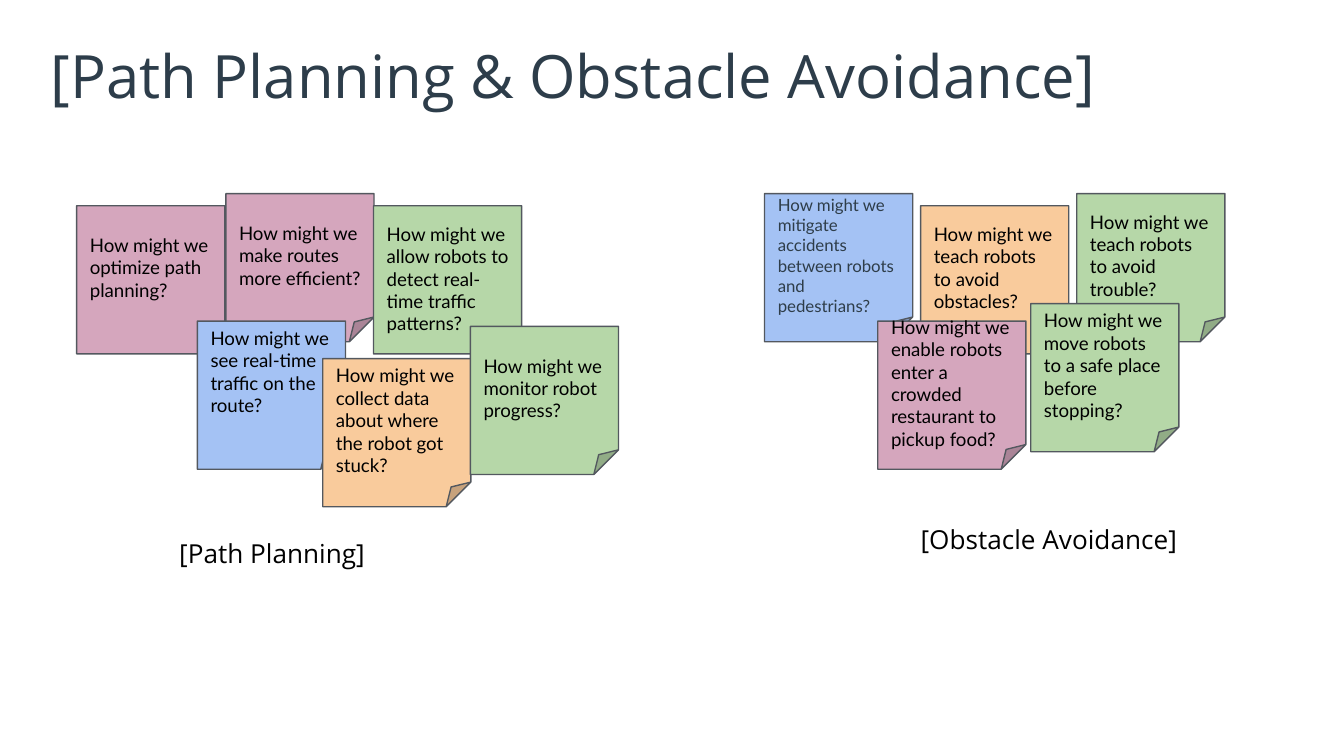
import pptx
import pptx.util
import pptx.dml.color
import pptx.enum.shapes
import pptx.enum.text

Cm, Pt = pptx.util.Cm, pptx.util.Pt
RGB = pptx.dml.color.RGBColor.from_string
ALIGN = pptx.enum.text.PP_ALIGN
ANCHOR = pptx.enum.text.MSO_ANCHOR

COLORS = {
    "title": "2D3D4A", "text": "000000", "slate": "2E3D49", "line": "53585F",
    "pink": "D5A6BD", "green": "B6D7A8", "orange": "F9CB9C", "blue": "A4C2F4",
}
NOTE_SIZE = 2.8
LINE_HEIGHT = 0.42

prs = pptx.Presentation()
prs.slide_width, prs.slide_height = Cm(25.4), Cm(14.29)
s = prs.slides.add_slide(prs.slide_layouts[5])


def write(sp, text, size=10, font="Lato", color="text", align=ALIGN.LEFT,
          anchor=ANCHOR.MIDDLE, inset=0.25, extra_top=0, extra_bottom=0):
    tf = sp.text_frame
    tf.word_wrap = True
    tf.auto_size = pptx.enum.text.MSO_AUTO_SIZE.NONE
    tf.vertical_anchor = anchor
    tf.margin_left = tf.margin_right = Cm(inset)
    tf.margin_top, tf.margin_bottom = Cm(inset + extra_top), Cm(inset + extra_bottom)
    p = tf.paragraphs[0]
    p.alignment = align
    r = p.add_run()
    r.text = text
    r.font.size, r.font.name = Pt(size), font
    r.font.color.rgb = RGB(COLORS[color])


title = s.shapes.title
title.left, title.top, title.width, title.height = Cm(0.86), Cm(0.61), Cm(23.67), Cm(1.6)
write(title, "[Path Planning & Obstacle Avoidance]", size=32, font="Open Sans",
      color="title", inset=0.1)

# Group captions: left, top, width, text
captions = [
    (2.82, 9.91, 4.65, "[Path Planning]"),
    (16.74, 9.65, 6.17, "[Obstacle Avoidance]"),
]
for left, top, width, text in captions:
    sp = s.shapes.add_textbox(Cm(left), Cm(top), Cm(width), Cm(1.35))
    write(sp, text, size=14, font="Open Sans", align=ALIGN.CENTER, anchor=ANCHOR.TOP)

# Sticky notes from back to front: left, top, fill, text, text format
notes = [
    (4.27, 3.66, "pink", "How might we make routes more efficient?", {}),
    (1.45, 3.89, "pink", "How might we optimize path planning?", {}),
    (20.35, 3.66, "green", "How might we teach robots to avoid trouble?", {}),
    (17.4, 3.89, "orange", "How might we teach robots to avoid obstacles?", {}),
    (19.48, 5.74, "green", "How might we move robots to a safe place before stopping?", {}),
    (3.73, 6.07, "blue", "How might we see real-time traffic on the route?",
     {"extra_bottom": LINE_HEIGHT}),
    (6.1, 6.78, "orange", "How might we collect data about where the robot got stuck?", {}),
    (7.06, 3.89, "green", "How might we allow robots to detect real-time traffic patterns?",
     {"extra_top": LINE_HEIGHT}),
    (14.45, 3.66, "blue", "How might we mitigate accidents between robots and pedestrians?",
     {"size": 9, "color": "slate"}),
    (16.59, 6.07, "pink",
     "How might we enable robots enter a crowded restaurant to pickup food?", {}),
    (8.89, 6.17, "green", "How might we monitor robot progress?", {}),
]
for left, top, fill, text, text_format in notes:
    sp = s.shapes.add_shape(pptx.enum.shapes.MSO_SHAPE.FOLDED_CORNER,
                            Cm(left), Cm(top), Cm(NOTE_SIZE), Cm(NOTE_SIZE))
    sp.shadow.inherit = False
    sp.fill.solid()
    sp.fill.fore_color.rgb = RGB(COLORS[fill])
    sp.line.color.rgb = RGB(COLORS["line"])
    sp.line.width = Pt(0.75)
    write(sp, text, **text_format)

prs.save("out.pptx")
